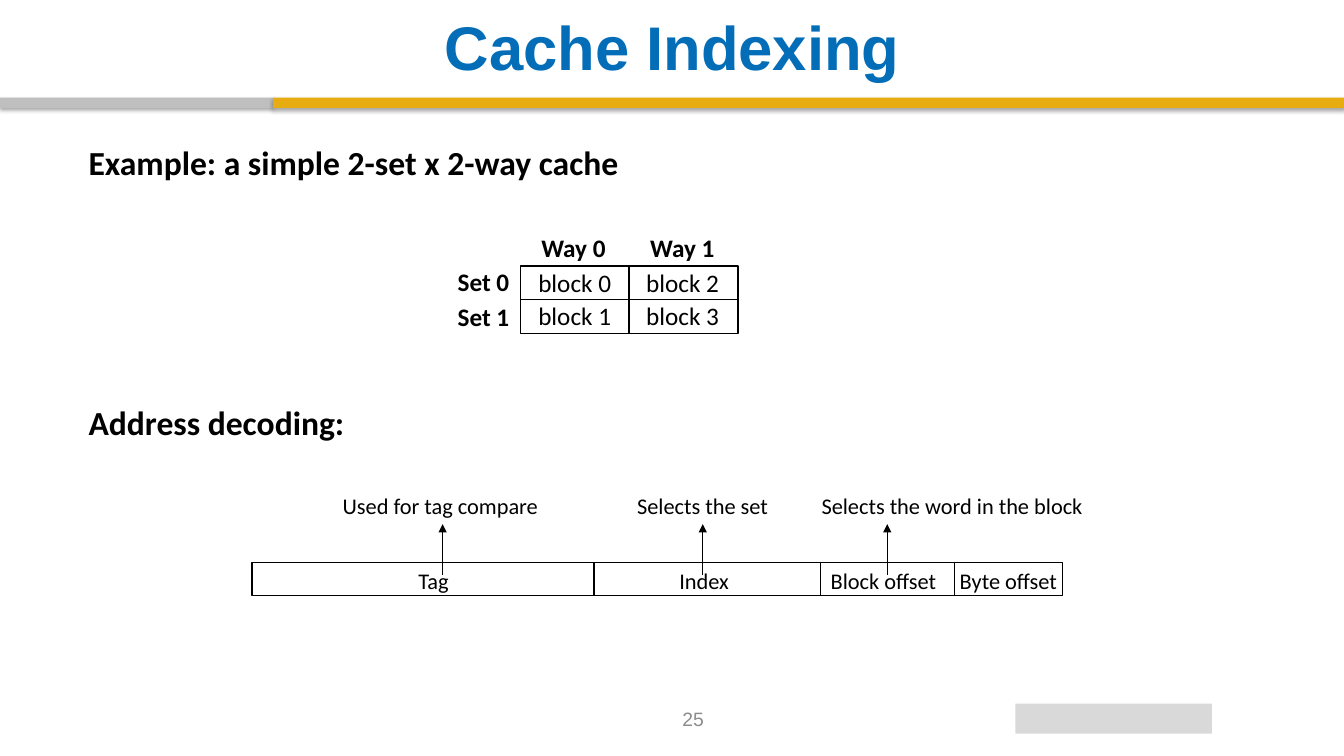
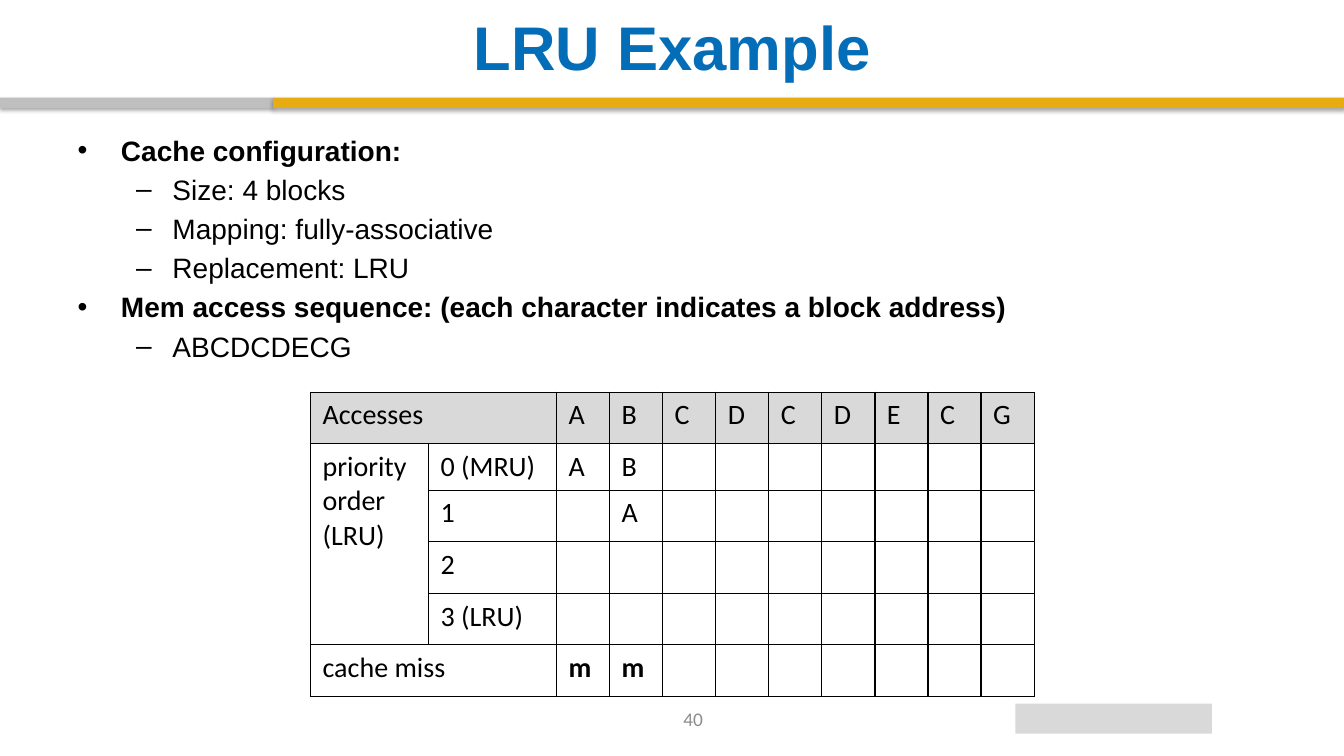
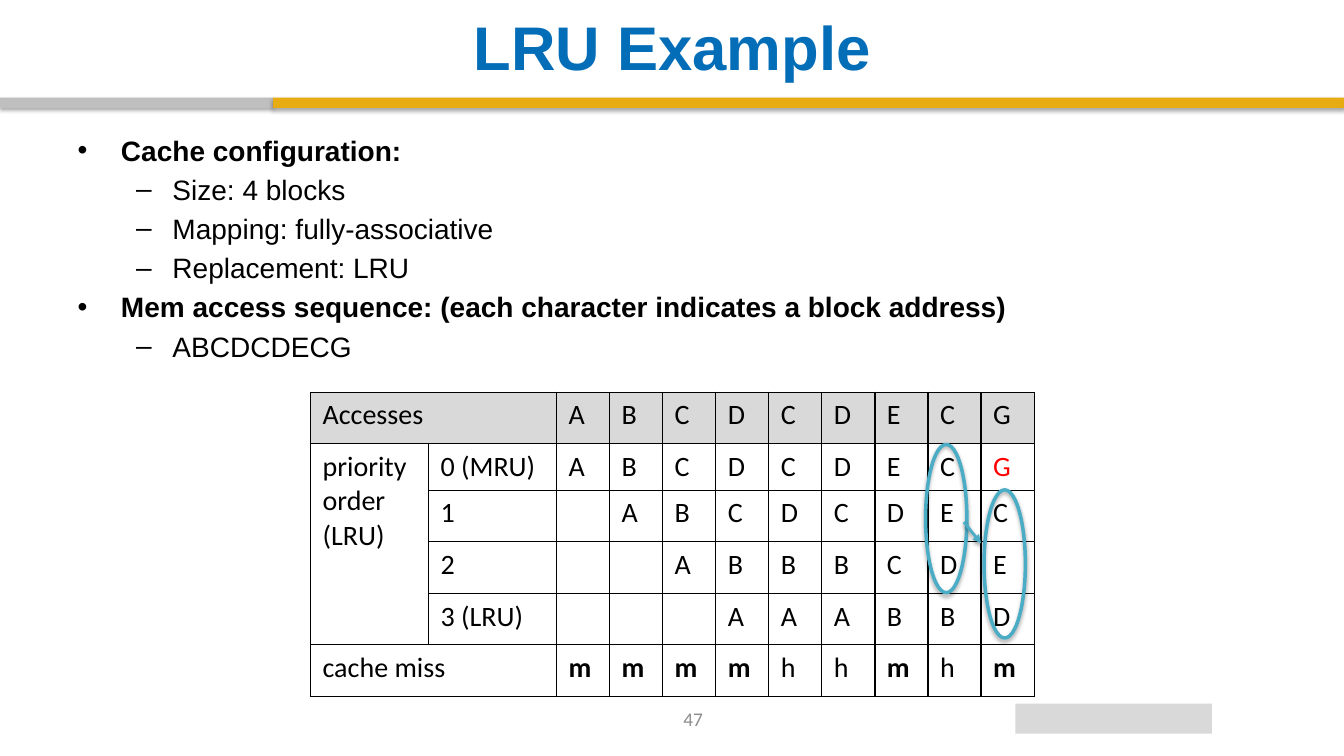
from dataclasses import dataclass
from itertools import product

from lxml.etree import SubElement
from pptx import Presentation
from pptx.dml.color import RGBColor
from pptx.enum.shapes import MSO_CONNECTOR, MSO_SHAPE
from pptx.enum.text import MSO_ANCHOR, MSO_AUTO_SIZE, PP_ALIGN
from pptx.oxml.ns import qn
from pptx.util import Inches, Pt

# Shared look
BLUE = RGBColor(0x03, 0x6D, 0xB7)
GOLD = RGBColor(0xE7, 0xAC, 0x11)
GRAY = RGBColor(0xBF, 0xBF, 0xBF)
HEADER_GRAY = RGBColor(0xD9, 0xD9, 0xD9)
NUMBER_GRAY = RGBColor(0x8C, 0x8C, 0x8C)
TEAL = RGBColor(0x4B, 0xAC, 0xC6)
RED = RGBColor(0xFF, 0x00, 0x00)
BLACK = RGBColor(0x00, 0x00, 0x00)

TITLE_FONT = {"name": "Arial", "size": Pt(44), "bold": True}
LIST_FONT = {"name": "Arial", "size": Pt(20)}
TABLE_FONT = {"name": "Calibri", "size": Pt(20)}
TITLE_ONLY, TITLE_AND_CONTENT = 5, 1


@dataclass
class Label:
    text: str
    left: float
    top: float
    width: float
    height: float = 0.37
    size: float = 16
    bold: bool = False
    color: RGBColor = BLACK
    font: str = "Calibri"
    wrap: bool = False


@dataclass
class Box:
    left: float
    top: float
    width: float
    height: float
    fill: RGBColor | None = None
    line: RGBColor | None = BLACK
    line_width: float = 1
    preset: MSO_SHAPE = MSO_SHAPE.RECTANGLE
    shadow_opacity: int = 0


@dataclass
class Line:
    x1: float
    y1: float
    x2: float
    y2: float
    color: RGBColor = BLACK
    width: float = 1
    arrow: bool = False
    shadow_opacity: int = 0


# Two bands under the title and a plain block in the footer
DECORATION = [
    Box(0, 0.97, 2.71, 0.1, fill=GRAY, line=None, shadow_opacity=35),
    Box(2.71, 0.97, 10.62, 0.1, fill=GOLD, line=None, shadow_opacity=35),
    Box(10.07, 6.98, 1.95, 0.3, fill=HEADER_GRAY, line=None),
]


def format_font(font, values: dict, color: RGBColor = BLACK) -> None:
    for name, value in values.items():
        setattr(font, name, value)
    font.color.rgb = color


def format_runs(text_frame, values: dict, color: RGBColor = BLACK) -> None:
    for paragraph in text_frame.paragraphs:
        for run in paragraph.runs:
            format_font(run.font, values, color)


def place(shape, left: float, top: float, width: float, height: float) -> None:
    for name, value in {"left": left, "top": top, "width": width, "height": height}.items():
        setattr(shape, name, Inches(value))


def set_shadow(shape, opacity: int) -> None:
    """Replace the theme shadow by none, or by a soft one of the given opacity."""
    effects = SubElement(shape._element.spPr, qn("a:effectLst"))
    if opacity:
        shadow = SubElement(effects, qn("a:outerShdw"), blurRad=str(Pt(3.1)),
                            dist=str(Pt(1.8)), dir="5400000", rotWithShape="0")
        color = SubElement(shadow, qn("a:srgbClr"), val="000000")
        SubElement(color, qn("a:alpha"), val=str(opacity * 1000))


def add_label(slide, label: Label):
    shape = slide.shapes.add_textbox(
        Inches(label.left), Inches(label.top), Inches(label.width), Inches(label.height))
    frame = shape.text_frame
    frame.text = label.text
    frame.word_wrap = label.wrap
    frame.auto_size = MSO_AUTO_SIZE.SHAPE_TO_FIT_TEXT
    format_runs(frame, {"name": label.font, "size": Pt(label.size), "bold": label.bold},
                label.color)
    return shape


def add_box(slide, box: Box) -> None:
    shape = slide.shapes.add_shape(
        box.preset, Inches(box.left), Inches(box.top), Inches(box.width), Inches(box.height))
    if box.fill is None:
        shape.fill.background()
    else:
        shape.fill.solid()
        shape.fill.fore_color.rgb = box.fill
    if box.line is None:
        shape.line.fill.background()
    else:
        shape.line.color.rgb = box.line
        shape.line.width = Pt(box.line_width)
    set_shadow(shape, box.shadow_opacity)


def add_line(slide, line: Line) -> None:
    connector = slide.shapes.add_connector(
        MSO_CONNECTOR.STRAIGHT,
        Inches(line.x1), Inches(line.y1), Inches(line.x2), Inches(line.y2))
    connector.line.color.rgb = line.color
    connector.line.width = Pt(line.width)
    if line.arrow:
        SubElement(connector.line._get_or_add_ln(), qn("a:tailEnd"), type="triangle")
    set_shadow(connector, line.shadow_opacity)


def start_slide(presentation, layout: int, title: str, number: int, number_font: str = "Calibri"):
    """Add a slide with the shared decoration, title and number."""
    slide = presentation.slides.add_slide(presentation.slide_layouts[layout])
    for box in DECORATION:
        add_box(slide, box)

    heading = slide.shapes.title
    place(heading, 0.67, 0.08, 12, 0.76)
    heading.text_frame.text = title
    heading.text_frame.vertical_anchor = MSO_ANCHOR.MIDDLE
    heading.text_frame.paragraphs[0].alignment = PP_ALIGN.CENTER
    format_runs(heading.text_frame, TITLE_FONT, BLUE)

    page = add_label(slide, Label(str(number), 5.32, 6.93, 3.11, 0.4, size=13.8,
                                  color=NUMBER_GRAY, font=number_font, wrap=True))
    page.text_frame.auto_size = MSO_AUTO_SIZE.NONE
    page.text_frame.vertical_anchor = MSO_ANCHOR.MIDDLE
    page.text_frame.paragraphs[0].alignment = PP_ALIGN.CENTER
    return slide


# Cache indexing slide
ADDRESS_EDGES = [2.5, 5.89, 8.14, 9.47, 10.54]
ADDRESS_TOP, ADDRESS_HEIGHT = 5.58, 0.33
ADDRESS_LABELS = [
    Label("Tag", 4.05, 5.58, 0.51),
    Label("Index", 6.64, 5.58, 0.7),
    Label("Block offset", 8.14, 5.58, 1.27),
    Label("Byte offset", 9.42, 5.58, 1.19),
]
PURPOSES = [  # label and the position of its arrow
    (Label("Used for tag compare", 3.3, 4.83, 2.16), 4.39),
    (Label("Selects the set", 6.22, 4.83, 1.52), 6.97),
    (Label("Selects the word in the block", 8.05, 4.83, 2.83), 8.8),
]


def add_cache_grid(slide) -> None:
    left, top, way_width, set_height = 5.16, 2.64, 1.08, 0.33
    for way in range(2):
        x = left + way * way_width
        add_box(slide, Box(x, top, way_width, 2 * set_height + 0.01))
        add_line(slide, Line(x, top + set_height, x + way_width, top + set_height))
        add_label(slide, Label(f"Way {way}", x + 0.11, 2.26, 0.85, 0.4, 18, True))
    for row in range(2):
        add_label(slide, Label(f"Set {row}", 4.44, 2.59 + 0.35 * row, 0.72, 0.4, 18, True))
    for way, row in product(range(2), repeat=2):
        add_label(slide, Label(f"block {2 * way + row}", 5.24 + 1.07 * way,
                               2.6 + 0.33 * row, 0.95, 0.4, 18))


def add_address_bar(slide) -> None:
    first, *dividers, last = ADDRESS_EDGES
    add_box(slide, Box(first, ADDRESS_TOP, last - first, ADDRESS_HEIGHT))
    for x in dividers:
        add_line(slide, Line(x, ADDRESS_TOP, x, ADDRESS_TOP + ADDRESS_HEIGHT))
    for label in ADDRESS_LABELS:
        add_label(slide, label)
    for label, x in PURPOSES:
        add_label(slide, label)
        add_line(slide, Line(x, 5.7, x, 5.2, arrow=True))


def build_indexing_slide(presentation) -> None:
    slide = start_slide(presentation, TITLE_ONLY, "Cache Indexing", 25, "Arial")
    for text, top in [("Example: a simple 2-set x 2-way cache", 1.36),
                      ("Address decoding:", 3.94)]:
        add_label(slide, Label(text, 0.78, top, 6.72, 0.5, 24, True, wrap=True))
    add_cache_grid(slide)
    add_address_bar(slide)


# LRU example slides
SEQUENCE = "ABCDCDECG"
CACHE_SIZE = 4
CONFIGURATION = [  # level and text
    (0, "Cache configuration:"),
    (1, "Size: 4 blocks"),
    (1, "Mapping: fully-associative"),
    (1, "Replacement: LRU"),
    (0, "Mem access sequence: (each character indicates a block address)"),
    (1, SEQUENCE),
]
LIST_LEVELS = [("•", 0.43, -0.43), ("–", 0.94, -0.36)]
TABLE_WIDTH, TABLE_HEIGHT = 7.18, 3.02
LABEL_WIDTHS = [1.17, 1.27]
ACCESS_WIDTH = (TABLE_WIDTH - sum(LABEL_WIDTHS)) / len(SEQUENCE)
COLUMN_WIDTHS = LABEL_WIDTHS + [ACCESS_WIDTH] * len(SEQUENCE)
MRU_HEIGHT = 0.46
ROW_HEIGHT = (TABLE_HEIGHT - MRU_HEIGHT) / 5
ROW_HEIGHTS = [ROW_HEIGHT, MRU_HEIGHT] + [ROW_HEIGHT] * 4
ROW_LABELS = ["0 (MRU)", "1", "2", "3 (LRU)"]


def add_configuration_list(slide) -> None:
    body = slide.placeholders[1]
    place(body, 0.67, 1.27, 12, 5.43)
    frame = body.text_frame
    frame.text = "\n".join(text for _, text in CONFIGURATION)
    for index, (paragraph, (level, _)) in enumerate(zip(frame.paragraphs, CONFIGURATION)):
        bullet, margin, indent = LIST_LEVELS[level]
        paragraph.level = level
        properties = paragraph._p.get_or_add_pPr()
        properties.set("marL", str(Inches(margin)))
        properties.set("indent", str(Inches(indent)))
        SubElement(properties, qn("a:buFont"), typeface="Arial")
        SubElement(properties, qn("a:buChar"), char=bullet)
        paragraph.space_before = Pt(4 if index else 0)
        format_font(paragraph.runs[0].font, {**LIST_FONT, "bold": level == 0})


def trace_lru(sequence: str) -> list[tuple[list[str], str]]:
    """Return the blocks by priority, and hit or miss, after each access."""
    blocks: list[str] = []
    steps = []
    for block in sequence:
        result = "h" if block in blocks else "m"
        blocks = [block, *(other for other in blocks if other != block)][:CACHE_SIZE]
        steps.append((blocks, result))
    return steps


def table_rows(shown: int) -> list[list[str]]:
    steps = trace_lru(SEQUENCE[:shown])
    rows = [["Accesses", "", *SEQUENCE]]
    for priority, name in enumerate(ROW_LABELS):
        rows.append(["" if priority else "priority order\n(LRU)", name]
                    + [blocks[priority] if priority < len(blocks) else ""
                       for blocks, _ in steps])
    rows.append(["cache miss", ""] + [result for _, result in steps])
    return [row + [""] * (len(COLUMN_WIDTHS) - len(row)) for row in rows]


def style_cell(cell, fill: RGBColor | None) -> None:
    cell.margin_left = cell.margin_right = Inches(0.12)
    cell.margin_top = cell.margin_bottom = Inches(0.06)
    properties = cell._tc.get_or_add_tcPr()
    for side in ("lnL", "lnR", "lnT", "lnB"):
        border = SubElement(properties, qn(f"a:{side}"), w=str(Pt(1)))
        solid = SubElement(border, qn("a:solidFill"))
        SubElement(solid, qn("a:srgbClr"), val=str(BLACK))
    if fill is None:
        cell.fill.background()
    else:
        cell.fill.solid()
        cell.fill.fore_color.rgb = fill


def add_lru_table(slide, shown: int, red_cell: tuple[int, int] | None) -> None:
    table = slide.shapes.add_table(
        len(ROW_HEIGHTS), len(COLUMN_WIDTHS), Inches(3.08), Inches(3.89),
        Inches(TABLE_WIDTH), Inches(TABLE_HEIGHT)).table
    table.first_row = table.horz_banding = False
    for column, width in zip(table.columns, COLUMN_WIDTHS):
        column.width = Inches(width)
    for row, height in zip(table.rows, ROW_HEIGHTS):
        row.height = Inches(height)
    for row, texts in enumerate(table_rows(shown)):
        for column, text in enumerate(texts):
            cell = table.cell(row, column)
            style_cell(cell, None if row else HEADER_GRAY)
            if text:
                cell.text = text
                format_runs(cell.text_frame, {**TABLE_FONT, "bold": text == "m"},
                            RED if (row, column) == red_cell else BLACK)
    for start, end in [((0, 0), (0, 1)), ((1, 0), (4, 0)), ((5, 0), (5, 1))]:
        table.cell(*start).merge(table.cell(*end))


def build_lru_slide(presentation, number: int, shown: int,
                    red_cell: tuple[int, int] | None = None):
    slide = start_slide(presentation, TITLE_AND_CONTENT, "LRU Example", number)
    add_configuration_list(slide)
    add_lru_table(slide, shown, red_cell)
    return slide


def add_shift_marks(slide) -> None:
    """Circle the blocks that move down one priority on the last access."""
    for left, top in [(9.18, 4.41), (9.76, 4.86)]:
        add_box(slide, Box(left, top, 0.41, 1.47, line=TEAL, line_width=2.5,
                           preset=MSO_SHAPE.OVAL, shadow_opacity=35))
    add_line(slide, Line(9.56, 5.18, 9.73, 5.39, TEAL, 2, arrow=True, shadow_opacity=38))


def main() -> None:
    presentation = Presentation()
    presentation.slide_width = Inches(13.33)
    presentation.slide_height = Inches(7.5)
    build_indexing_slide(presentation)
    build_lru_slide(presentation, 40, shown=2)
    final_slide = build_lru_slide(presentation, 47, shown=len(SEQUENCE),
                                  red_cell=(1, len(COLUMN_WIDTHS) - 1))
    add_shift_marks(final_slide)
    presentation.save("out.pptx")


if __name__ == "__main__":
    main()
